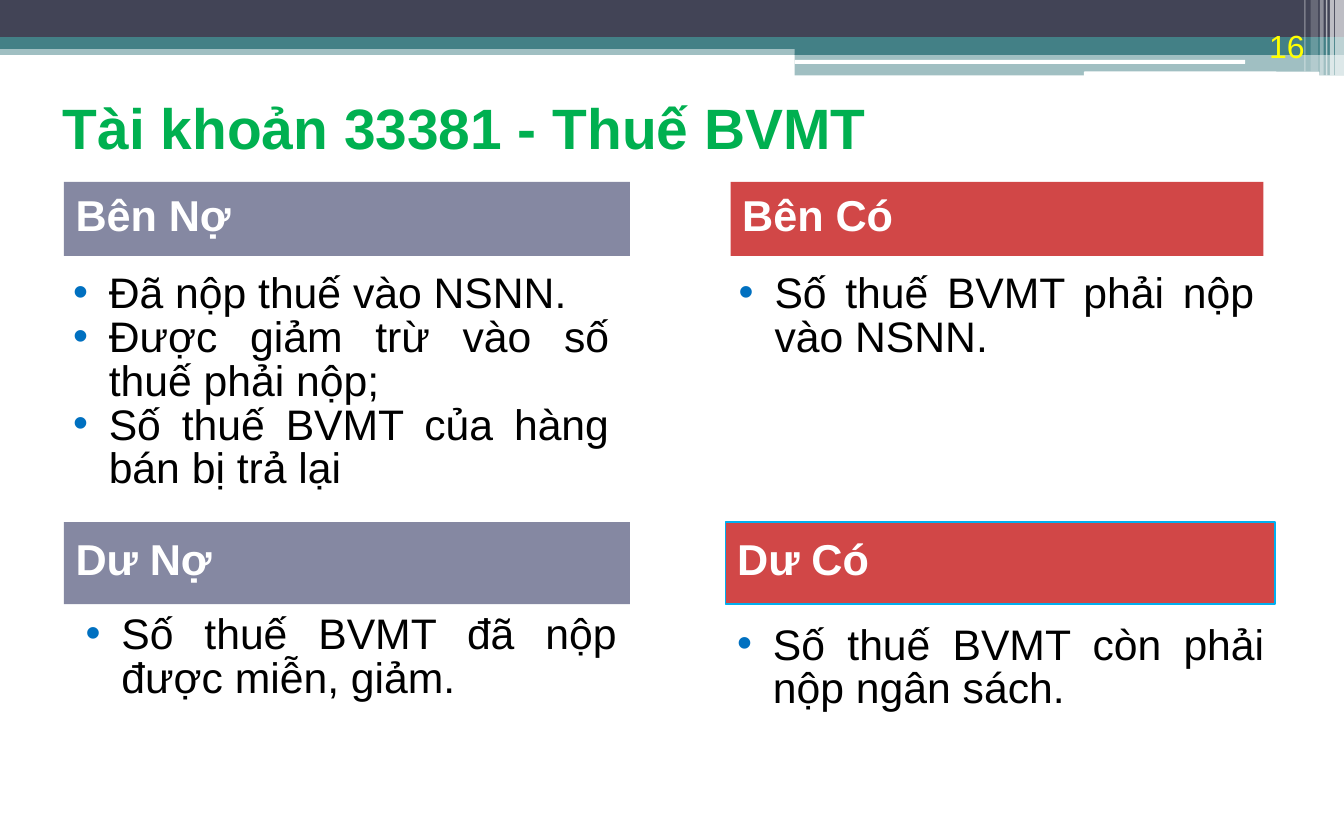
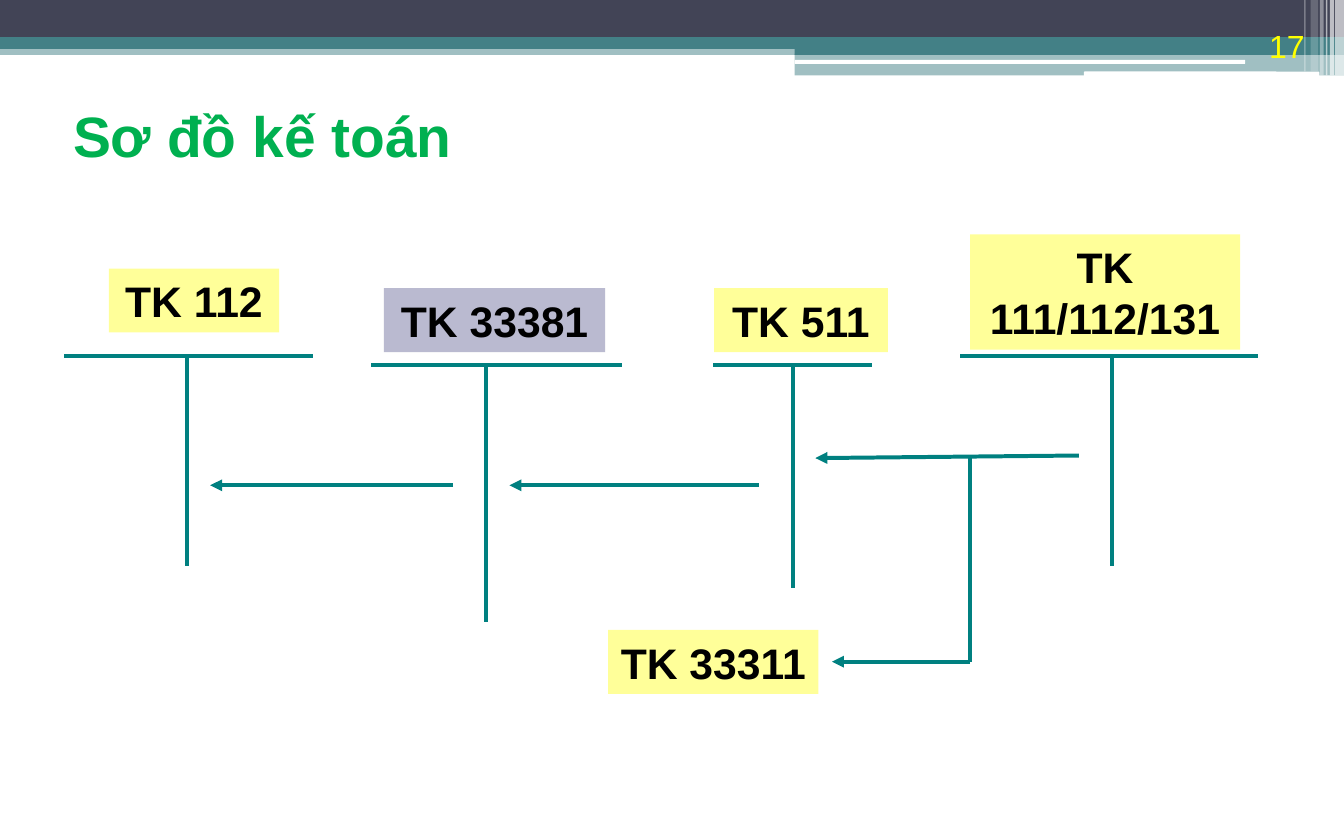
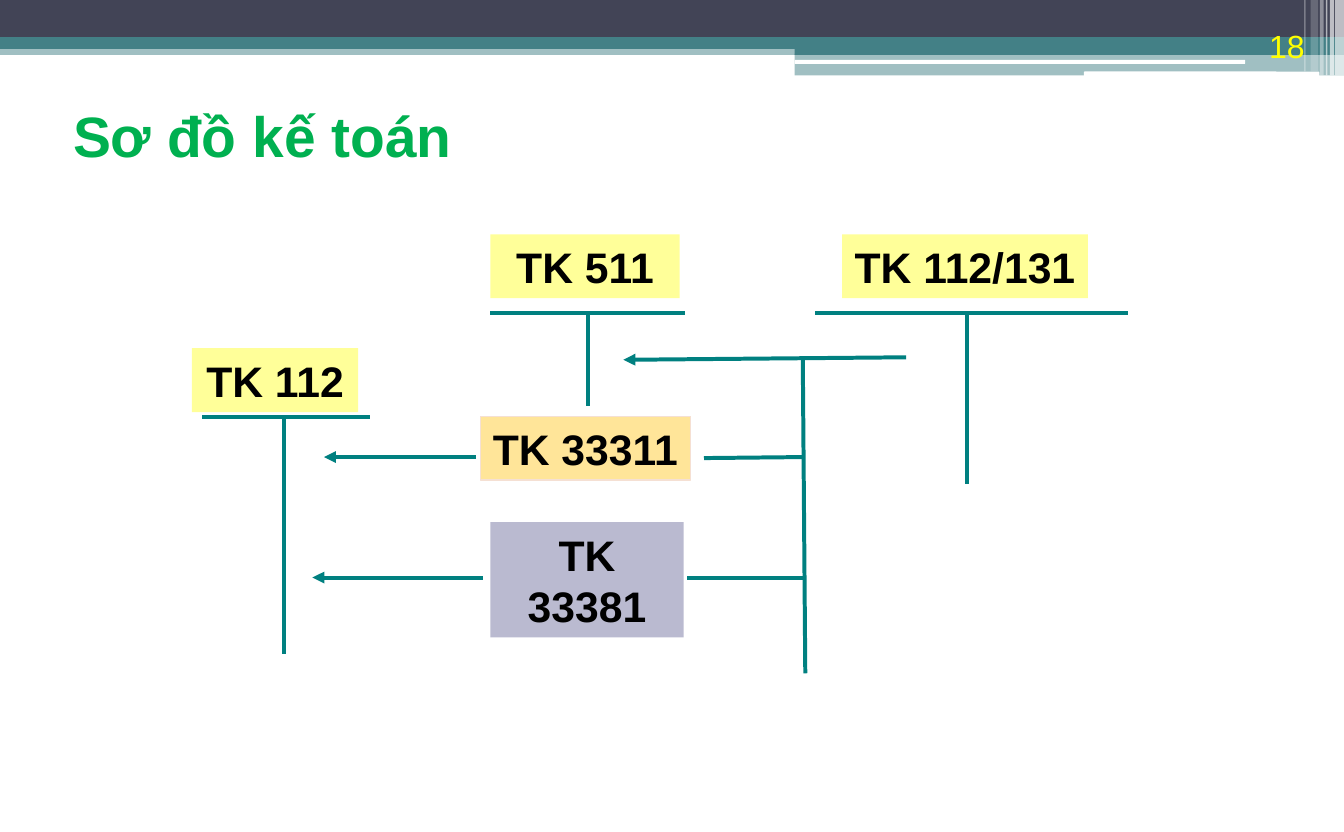
import lxml.etree
import pptx
import pptx.dml.color
import pptx.enum.shapes
import pptx.enum.text
import pptx.oxml.ns
import pptx.util

Cm = pptx.util.Cm
Pt = pptx.util.Pt
qn = pptx.oxml.ns.qn
Shape = pptx.enum.shapes.MSO_SHAPE
Anchor = pptx.enum.text.MSO_ANCHOR
Align = pptx.enum.text.PP_ALIGN

FONT = "Arial"
WHITE, BLACK = "FFFFFF", "000000"
NAVY, TEAL, LINE_TEAL = "424456", "438086", "008080"
GREEN, BRIGHT_YELLOW, PALE_YELLOW = "00B050", "FFFF00", "FFFF99"
SLATE, RED, CYAN, BULLET_BLUE = "8588A2", "C00000", "00B0F0", "0070C0"
INDIGO, AMBER, PEACH = "53548A", "FFC000", "F5E0D3"

SLIDE_WIDTH, SLIDE_HEIGHT = 26.67, 16.51
NARROW_INSETS = (0.18, 0.1)
WIDE_INSETS = (0.23, 0.13)

# left, top, width, height, colour, opacity in percent
BANDS = [
    (0, 0.89, SLIDE_WIDTH, 0.2, TEAL, 50),
    (0, 0, SLIDE_WIDTH, 0.74, NAVY, 100),
    (0, 0.74, SLIDE_WIDTH, 0.23, TEAL, 100),
    (15.77, 0.86, 10.9, 0.23, TEAL, 100),
    (15.77, 1.07, 10.9, 0.43, TEAL, 50),
]
ROUNDED_BANDS = [(15.77, 1.19, 8.94, 0.08), (21.51, 1.42, 4.67, 0.1)]
# left, width, height, opacity in percent
STRIPES = [
    (26.49, 0.18, 1.5, 65),
    (26.39, 0.08, 1.5, 65),
    (26.31, 0.03, 1.5, 60),
    (26.19, 0.08, 1.5, 40),
    (26.01, 0.15, 1.42, 20),
    (25.88, 0.03, 1.42, 30),
]


def colour(value):
    return pptx.dml.color.RGBColor.from_string(value)


def lengths(values):
    return [Cm(value) for value in values]


class Deck:
    """Holds the presentation, its style and the slide being filled."""

    def __init__(self):
        self.presentation = pptx.Presentation()
        self.presentation.slide_width = Cm(SLIDE_WIDTH)
        self.presentation.slide_height = Cm(SLIDE_HEIGHT)
        self.slide = None

    def add_slide(self, number, title, title_box, title_spacing=1.0):
        layout = self.presentation.slide_layouts[5]
        self.slide = self.presentation.slides.add_slide(layout)
        for *box, fill, opacity in BANDS:
            self.rectangle(box, fill, opacity)
        for box in ROUNDED_BANDS:
            self.rectangle(box, WHITE, kind=Shape.ROUNDED_RECTANGLE)
        for left, width, height, opacity in STRIPES:
            self.rectangle((left, 0, width, height), WHITE, opacity)
        self.page_number(number)
        self.title(title, title_box, title_spacing)

    def rectangle(self, box, fill, opacity=100, line=None, kind=Shape.RECTANGLE):
        shape = self.slide.shapes.add_shape(kind, *lengths(box))
        shape.shadow.inherit = False
        shape.fill.solid()
        shape.fill.fore_color.rgb = colour(fill)
        if opacity < 100:
            fill_element = shape.element.find(".//" + qn("a:srgbClr"))
            alpha = lxml.etree.SubElement(fill_element, qn("a:alpha"))
            alpha.set("val", str(opacity * 1000))
        if line:
            shape.line.color.rgb = colour(line)
            shape.line.width = Pt(0.75)
        else:
            shape.line.fill.background()
        return shape

    def set_frame(self, shape, text, insets, anchor=Anchor.TOP):
        frame = shape.text_frame
        frame.text = text
        frame.word_wrap = True
        frame.auto_size = pptx.enum.text.MSO_AUTO_SIZE.NONE
        frame.vertical_anchor = anchor
        frame.margin_left = frame.margin_right = Cm(insets[0])
        frame.margin_top = frame.margin_bottom = Cm(insets[1])
        return frame

    def format_paragraph(self, paragraph, size, text_colour, bold=False,
                         align=Align.LEFT, spacing=1.0):
        paragraph.alignment = align
        paragraph.line_spacing = spacing
        for run in paragraph.runs:
            run.font.name = FONT
            run.font.size = Pt(size)
            run.font.bold = bold
            run.font.color.rgb = colour(text_colour)

    def page_number(self, number):
        box = self.slide.shapes.add_textbox(*lengths((23.9, 0.53, 2.24, 0.89)))
        frame = self.set_frame(box, str(number), (0.25, 0.13), Anchor.BOTTOM)
        self.format_paragraph(frame.paragraphs[0], 18, BRIGHT_YELLOW, align=Align.RIGHT)

    def title(self, text, box, spacing):
        shape = self.slide.shapes.title
        shape.left, shape.top, shape.width, shape.height = lengths(box)
        frame = self.set_frame(shape, text, NARROW_INSETS)
        self.format_paragraph(frame.paragraphs[0], 32, GREEN, True, spacing=spacing)

    def heading(self, text, box, fill, opacity=100, line=None):
        shape = self.rectangle(box, fill, opacity, line)
        frame = self.set_frame(shape, text, WIDE_INSETS, Anchor.MIDDLE)
        self.format_paragraph(frame.paragraphs[0], 24.3, WHITE, True, spacing=0.8)

    def bullets(self, items, box, insets):
        shape = self.slide.shapes.add_textbox(*lengths(box))
        frame = self.set_frame(shape, "\n".join(items), insets)
        for paragraph in frame.paragraphs:
            self.format_paragraph(paragraph, 24, BLACK, align=Align.JUSTIFY,
                                  spacing=Pt(24.6))
            properties = paragraph._p.get_or_add_pPr()
            properties.set("marL", str(Cm(0.71)))
            properties.set("indent", str(-Cm(0.71)))
            bullet_colour = lxml.etree.SubElement(properties, qn("a:buClr"))
            lxml.etree.SubElement(bullet_colour, qn("a:srgbClr")).set("val", BULLET_BLUE)
            lxml.etree.SubElement(properties, qn("a:buFont")).set("typeface", FONT)
            lxml.etree.SubElement(properties, qn("a:buChar")).set("char", "•")

    def account_label(self, text, box, fill=PALE_YELLOW, opacity=100, line=None):
        shape = self.rectangle(box, fill, opacity, line)
        frame = self.set_frame(shape, text, WIDE_INSETS)
        self.format_paragraph(frame.paragraphs[0], 24, BLACK, True, Align.CENTER)

    def line(self, start, end, arrow=False):
        connector = self.slide.shapes.add_connector(
            pptx.enum.shapes.MSO_CONNECTOR.STRAIGHT, *lengths((*start, *end)))
        connector.line.color.rgb = colour(LINE_TEAL)
        connector.line.width = Pt(2.25)
        if arrow:
            outline = connector.element.spPr.find(qn("a:ln"))
            lxml.etree.SubElement(outline, qn("a:tailEnd")).set("type", "triangle")
        lxml.etree.SubElement(connector.element.spPr, qn("a:effectLst"))

    def arrow(self, start, end):
        self.line(start, end, arrow=True)

    def t_account(self, left, right, top, stem, bottom):
        """Draws the T: a bar from left to right and a stem down to bottom."""
        self.line((left, top), (right, top))
        self.line((stem, top), (stem, bottom))


def add_tax_account(deck):
    deck.add_slide(16, "Tài khoản 33381 - Thuế BVMT", (1.07, 1.47, 18.62, 1.35), 1.2)
    deck.bullets(["Đã nộp thuế vào NSNN.",
                  "Được giảm trừ vào số thuế phải nộp;",
                  "Số thuế BVMT của hàng bán bị trả lại"],
                 (1.27, 5.33, 11, 4.62), NARROW_INSETS)
    deck.bullets(["Số thuế BVMT phải nộp vào NSNN."],
                 (14.48, 5.33, 10.59, 2.24), NARROW_INSETS)
    deck.heading("Bên Nợ", (1.27, 3.61, 11.23, 1.47), SLATE)
    deck.heading("Bên Có", (14.5, 3.61, 10.57, 1.47), RED, 72)
    deck.heading("Dư Nợ", (1.27, 10.36, 11.23, 1.63), SLATE)
    deck.heading("Dư Có", (14.4, 10.36, 10.9, 1.63), RED, 72, CYAN)
    deck.bullets(["Số thuế BVMT còn phải nộp ngân sách."],
                 (14.4, 12.27, 10.92, 2.03), WIDE_INSETS)
    deck.bullets(["Số thuế BVMT đã nộp được miễn, giảm."],
                 (1.47, 12.07, 11, 2.03), WIDE_INSETS)


def add_direct_diagram(deck):
    deck.add_slide(17, "Sơ đồ kế toán", (1.27, 1.9, 21.74, 1.7))
    deck.t_account(7.37, 12.34, 7.24, 9.64, 12.34)
    deck.account_label("TK 33381", (7.62, 5.72, 4.39, 1.27), INDIGO, 40)
    deck.t_account(1.27, 6.22, 7.06, 3.71, 11.23)
    deck.account_label("TK 112", (2.16, 5.33, 3.38, 1.27))
    deck.t_account(14.15, 17.3, 7.24, 15.73, 11.66)
    deck.account_label("TK 511", (14.17, 5.72, 3.45, 1.27))
    deck.t_account(19.05, 24.97, 7.06, 22.07, 11.23)
    deck.account_label("TK 111/112/131", (19.25, 4.65, 5.36, 2.29))
    deck.arrow((8.99, 9.63), (4.17, 9.63))
    deck.arrow((15.06, 9.63), (10.11, 9.63))
    deck.arrow((21.41, 9.04), (16.18, 9.09))
    deck.line((19.25, 9.09), (19.25, 13.13))
    deck.arrow((19.25, 13.13), (16.51, 13.13))
    deck.account_label("TK 33311", (12.07, 12.5, 4.17, 1.27))


def add_split_diagram(deck):
    deck.add_slide(18, "Sơ đồ kế toán", (1.27, 1.9, 20.6, 1.7))
    deck.line((13.97, 9.09), (15.93, 9.07))
    deck.account_label("TK 33311", (9.53, 8.26, 4.17, 1.27), AMBER, 40, PEACH)
    deck.t_account(4.01, 7.34, 8.27, 5.64, 12.98)
    deck.account_label("TK 112", (3.81, 6.91, 3.3, 1.27))
    deck.t_account(9.73, 13.59, 6.22, 11.66, 8.05)
    deck.account_label("TK 511", (9.73, 4.65, 3.76, 1.27))
    deck.t_account(16.18, 22.38, 6.22, 19.18, 9.6)
    deck.account_label("TK 112/131", (16.71, 4.65, 4.88, 1.27))
    deck.arrow((9.58, 11.46), (6.2, 11.46))
    deck.arrow((17.98, 7.09), (12.37, 7.14))
    deck.line((15.93, 7.09), (15.98, 13.36))
    deck.account_label("TK 33381", (9.73, 10.36, 3.84, 2.29), INDIGO, 40)
    deck.line((13.64, 11.46), (15.93, 11.46))
    deck.arrow((9.45, 9.07), (6.43, 9.07))


def main():
    deck = Deck()
    add_tax_account(deck)
    add_direct_diagram(deck)
    add_split_diagram(deck)
    deck.presentation.save("out.pptx")


if __name__ == "__main__":
    main()
